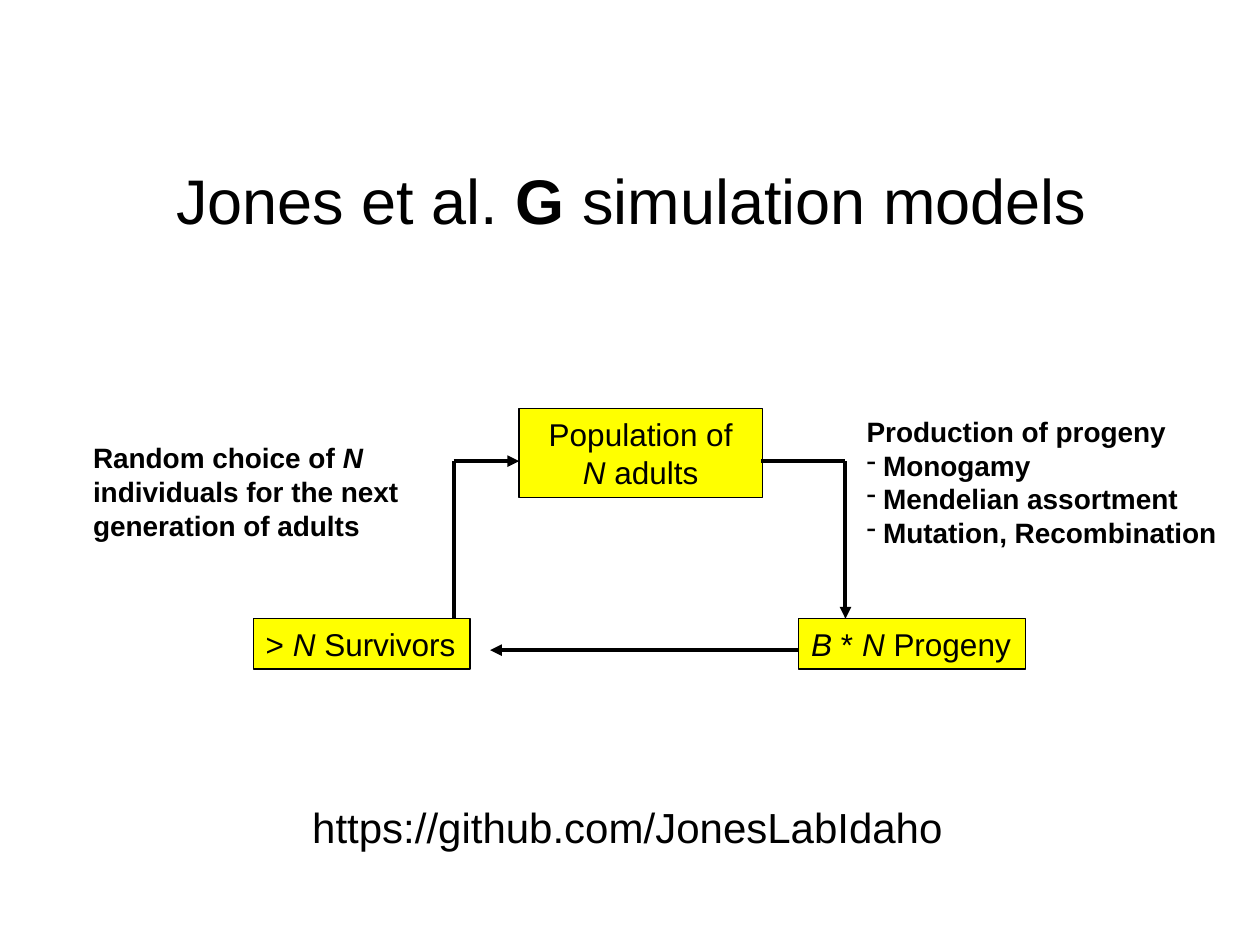
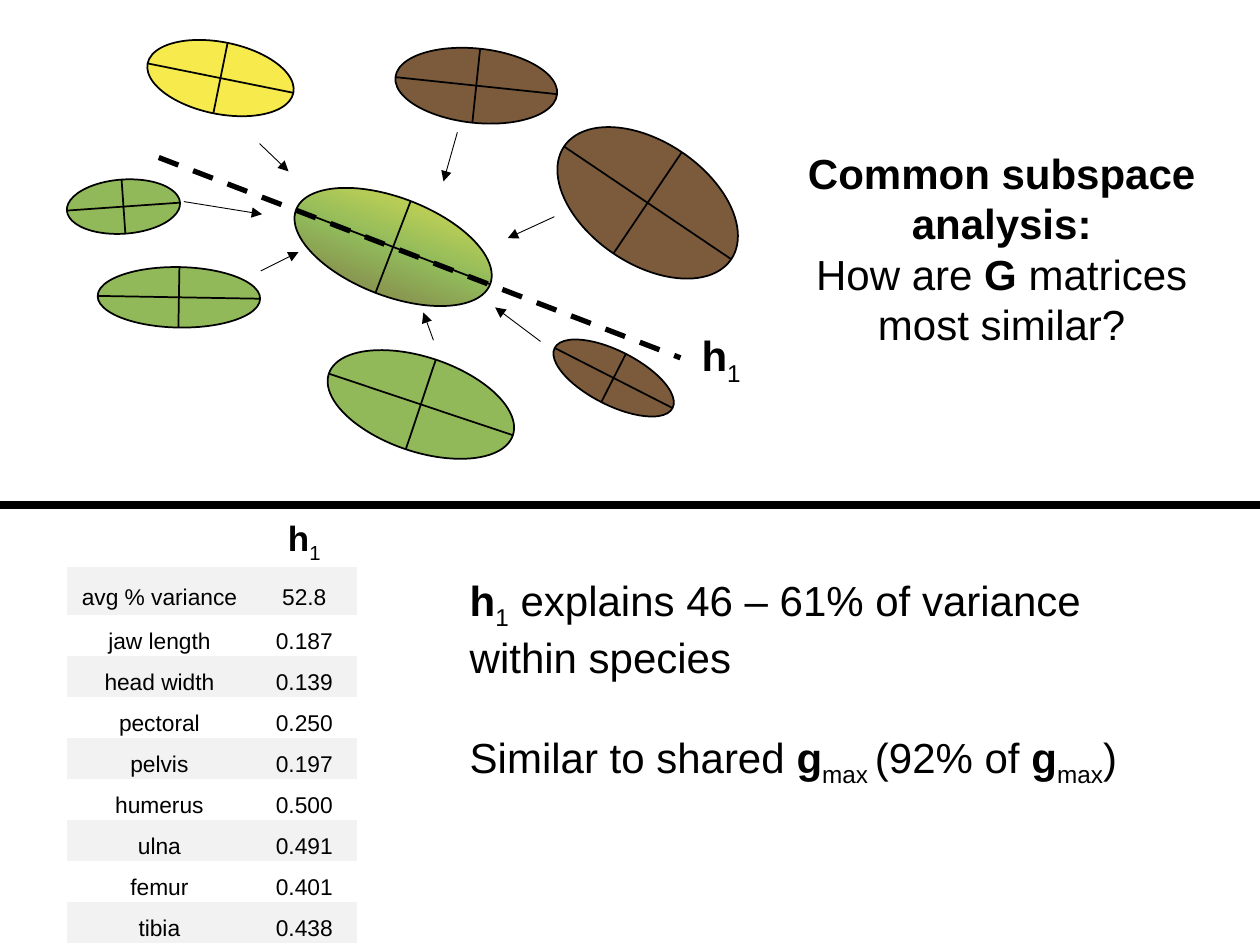
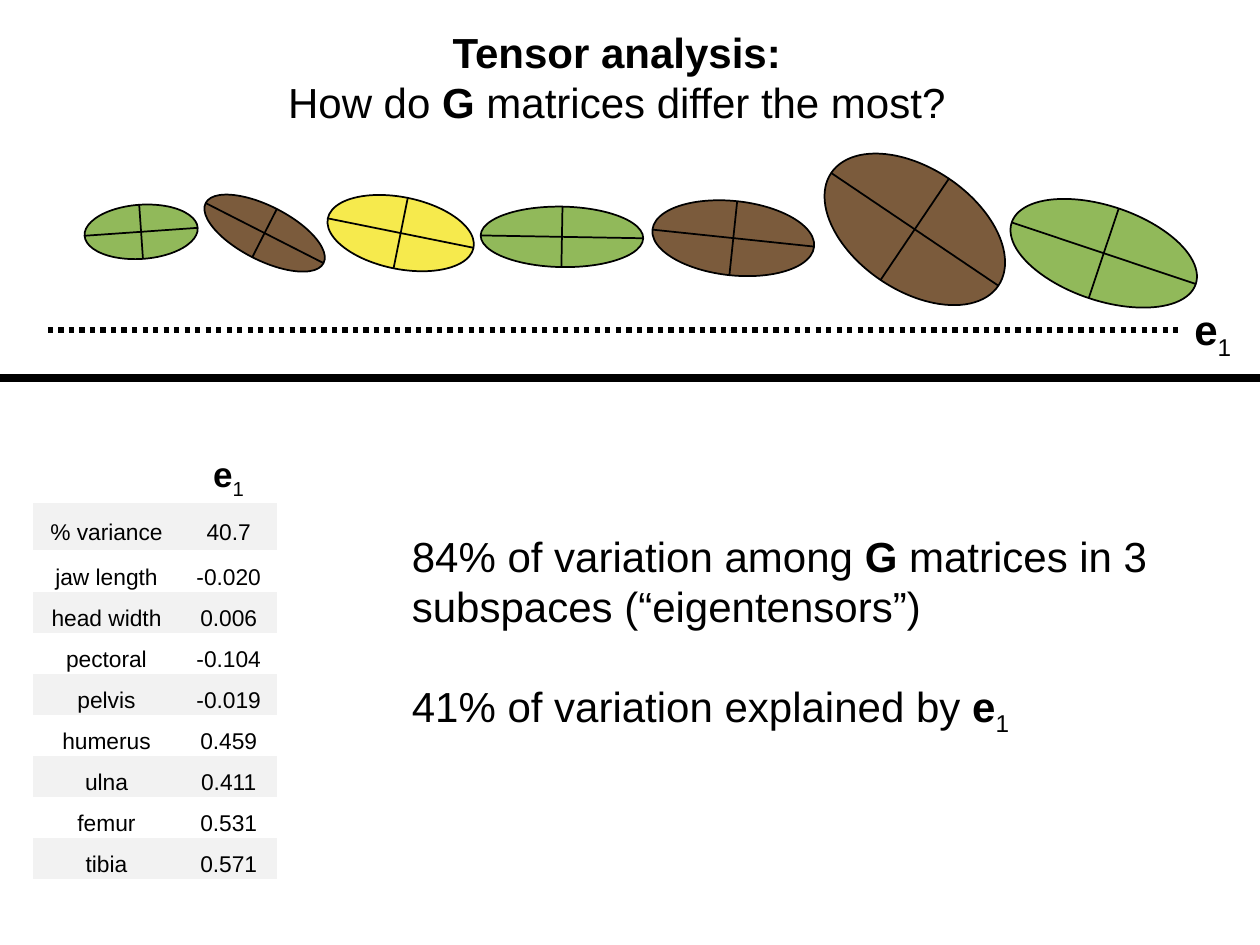
import math
from dataclasses import dataclass
from typing import Any, NamedTuple, Optional

import lxml.etree
import pptx
import pptx.dml.color
import pptx.enum.dml
import pptx.enum.shapes
import pptx.enum.text
import pptx.oxml.ns
import pptx.util

Inches = pptx.util.Inches
Pt = pptx.util.Pt
qn = pptx.oxml.ns.qn
ALIGN = pptx.enum.text.PP_ALIGN
DASH = pptx.enum.dml.MSO_LINE
SHAPE = pptx.enum.shapes.MSO_SHAPE

FONT = "Arial"
HEX = {
    "ink": "000000",
    "box": "FFFF00",
    "band": "F2F2F2",
    "green": "88B44D",
    "gold": "F5E627",
    "brown": "704E2C",
}
BLEND = [(0, "F7EB4E"), (51, "91BA5B"), (100, "7B5C3D")]
CLEAR_STYLE = "{2D5ABB26-0587-4C30-8999-92F81FD0307C}"
TRAITS = ["jaw length", "head width", "pectoral", "pelvis",
          "humerus", "ulna", "femur", "tibia"]


class Run(NamedTuple):
    text: str
    bold: bool = False
    slant: bool = False
    sub: bool = False


class Box(NamedTuple):
    left: float
    top: float
    width: float
    height: float

    def lengths(self) -> list[int]:
        return [Inches(side) for side in self]


class Line(NamedTuple):
    start: tuple[float, float]
    end: tuple[float, float]
    width: float = 1
    arrow: bool = False
    dash: Any = None


@dataclass
class Egg:
    width: float
    length: float
    turn: float
    fill: Optional[str] = None
    alpha: int = 92


EGGS = {
    "small green": Egg(0.43, 0.9, 86, "green"),
    "small brown": Egg(0.43, 1.05, 117, "brown"),
    "gold": Egg(0.57, 1.18, 101.4, "gold", 82),
    "flat green": Egg(0.48, 1.29, 91, "green"),
    "flat brown": Egg(0.59, 1.29, 96, "brown"),
    "large brown": Egg(0.97, 1.6, 124, "brown"),
    "large green": Egg(0.75, 1.54, 108.5, "green"),
    "shared": Egg(0.78, 1.65, 111),
}


def bold(text: str) -> Run:
    return Run(text, bold=True)


def slant(text: str) -> Run:
    return Run(text, slant=True)


def sub(text: str) -> Run:
    return Run(text, sub=True)


def tint(name: str) -> pptx.dml.color.RGBColor:
    return pptx.dml.color.RGBColor.from_string(HEX[name])


def write(frame: Any, paras: list, *, size: float = 24, heavy: bool = False,
          align: Any = ALIGN.LEFT, gap: float = 0, pitch: Optional[float] = None,
          dashed: bool = False) -> None:
    for row, parts in enumerate(paras):
        para = frame.add_paragraph() if row else frame.paragraphs[0]
        para.alignment = align
        if pitch:
            para.line_spacing = pitch
        if row and gap:
            para.space_before = Pt(gap)
        if row and dashed:
            props = para._p.get_or_add_pPr()
            props.set("marL", str(Inches(0.13)))
            props.set("indent", str(-Inches(0.13)))
            lxml.etree.SubElement(props, qn("a:buChar"), char="-")
        for part in parts:
            piece = Run(part) if isinstance(part, str) else part
            run = para.add_run()
            run.text = piece.text
            run.font.name = FONT
            run.font.size = Pt(size)
            run.font.bold = heavy or piece.bold
            run.font.italic = piece.slant
            run.font.color.rgb = tint("ink")
            if piece.sub:
                run._r.get_or_add_rPr().set("baseline", "-25000")


def fit(frame: Any, wrap: bool) -> None:
    frame.word_wrap = wrap
    frame.auto_size = pptx.enum.text.MSO_AUTO_SIZE.SHAPE_TO_FIT_TEXT


def label(slide: Any, box: Box, paras: list, wrap: bool = True, **style: Any) -> None:
    frame = slide.shapes.add_textbox(*box.lengths()).text_frame
    fit(frame, wrap)
    write(frame, paras, **style)


def stage(slide: Any, box: Box, paras: list, wrap: bool = False, **style: Any) -> None:
    shape = slide.shapes.add_shape(SHAPE.RECTANGLE, *box.lengths())
    shape.shadow.inherit = False
    shape.fill.solid()
    shape.fill.fore_color.rgb = tint("box")
    shape.line.color.rgb = tint("ink")
    shape.line.width = Pt(0.75)
    fit(shape.text_frame, wrap)
    write(shape.text_frame, paras, size=18, **style)


def draw(shapes: Any, line: Line) -> None:
    ends = [Inches(value) for value in (*line.start, *line.end)]
    link = shapes.add_connector(pptx.enum.shapes.MSO_CONNECTOR.STRAIGHT, *ends)
    link.line.color.rgb = tint("ink")
    link.line.width = Pt(line.width)
    if line.dash:
        link.line.dash_style = line.dash
    if line.arrow:
        lxml.etree.SubElement(link.line._get_or_add_ln(), qn("a:tailEnd"), type="triangle")
    lxml.etree.SubElement(link._element.spPr, qn("a:effectLst"))


def blend(shape: Any) -> None:
    shape.fill.gradient()
    shape.fill.gradient_angle = 0
    grad = shape._element.spPr.find(qn("a:gradFill"))
    stops = grad.find(qn("a:gsLst"))
    for stop in list(stops):
        stops.remove(stop)
    for place, color in BLEND:
        stop = lxml.etree.SubElement(stops, qn("a:gs"), pos=str(place * 1000))
        lxml.etree.SubElement(stop, qn("a:srgbClr"), val=color)


def lay(slide: Any, name: str, x: float, y: float) -> None:
    egg = EGGS[name]
    shapes = slide.shapes.add_group_shape().shapes
    box = Box(x - egg.width / 2, y - egg.length / 2, egg.width, egg.length)
    shape = shapes.add_shape(SHAPE.OVAL, *box.lengths())
    shape.rotation = egg.turn
    shape.shadow.inherit = False
    shape.line.color.rgb = tint("ink")
    shape.line.width = Pt(1)
    if egg.fill:
        shape.fill.solid()
        shape.fill.fore_color.rgb = tint(egg.fill)
        color = shape._element.spPr.find(qn("a:solidFill"))[0]
        lxml.etree.SubElement(color, qn("a:alpha"), val=str(egg.alpha * 1000))
    else:
        blend(shape)
    turn = math.radians(egg.turn)
    for span, angle in ((egg.length, turn - math.pi / 2), (egg.width, turn)):
        dx, dy = span / 2 * math.cos(angle), span / 2 * math.sin(angle)
        draw(shapes, Line((x + dx, y + dy), (x - dx, y - dy)))


def chart(slide: Any, left: float, top: float, widths: list[float], head: str,
          share: tuple[str, str], loads: list[str]) -> None:
    rows = [("", [bold(head), sub("1")]), share, *zip(TRAITS, loads)]
    heights = [0.56, 0.38] + [0.29] * len(TRAITS)
    box = Box(left, top, sum(widths), sum(heights))
    table = slide.shapes.add_table(len(rows), 2, *box.lengths()).table
    table.first_row = table.horz_banding = False
    table._tbl.tblPr.find(qn("a:tableStyleId")).text = CLEAR_STYLE
    for col, width in enumerate(widths):
        table.columns[col].width = Inches(width)
    for row, pair in enumerate(rows):
        table.rows[row].height = Inches(heights[row])
        for col, text in enumerate(pair):
            cell = table.cell(row, col)
            cell.margin_left = cell.margin_right = Inches(0.07)
            cell.margin_top = cell.margin_bottom = 0
            cell.vertical_anchor = pptx.enum.text.MSO_ANCHOR.MIDDLE
            if row % 2:
                cell.fill.solid()
                cell.fill.fore_color.rgb = tint("band")
            else:
                cell.fill.background()
            if text:
                parts = [text] if isinstance(text, str) else text
                write(cell.text_frame, [parts], size=13 if row else 20,
                      align=ALIGN.CENTER, pitch=1.5)


def split(slide: Any, y: float) -> None:
    draw(slide.shapes, Line((0, y), (10, y), 4.5))


def cycle(slide: Any) -> None:
    stage(slide, Box(4.12, 3.24, 1.93, 0.71),
          [["Population of"], [slant("N"), " adults"]], wrap=True, align=ALIGN.CENTER)
    stage(slide, Box(6.34, 4.91, 1.8, 0.4), [[slant("B"), " * ", slant("N"), " Progeny"]])
    stage(slide, Box(2.01, 4.91, 1.72, 0.4), [["> ", slant("N"), " Survivors"]])
    for start, end, arrow in [
        ((6.04, 3.66), (6.71, 3.66), False),
        ((6.71, 3.66), (6.71, 4.91), True),
        ((6.34, 5.16), (3.89, 5.16), True),
        ((3.6, 4.91), (3.6, 3.66), False),
        ((3.6, 3.66), (4.12, 3.66), True),
    ]:
        draw(slide.shapes, Line(start, end, 2.25, arrow))
    label(slide, Box(6.78, 3.24, 3.02, 1.18),
          [["Production of progeny"], ["Monogamy"], ["Mendelian assortment"],
           ["Mutation, Recombination"]], wrap=False, size=16, heavy=True, dashed=True)
    label(slide, Box(0.64, 3.45, 2.66, 0.91),
          [["Random choice of ", slant("N")], ["individuals for the next"],
           ["generation of adults"]], wrap=False, size=16, heavy=True)
    label(slide, Box(1.3, 1.23, 7.56, 0.71),
          [["Jones et al. ", bold("G"), " simulation models"]], size=36)
    label(slide, Box(2.38, 6.31, 6.67, 0.5), [["https://github.com/JonesLabIdaho"]])


def common(slide: Any) -> None:
    label(slide, Box(5.47, 2.57, 0.53, 0.5), [[bold("h"), sub("1")]], wrap=False)
    for name, x, y in [
        ("shared", 3.12, 1.96),
        ("small green", 0.98, 1.64),
        ("gold", 1.75, 0.62),
        ("flat brown", 3.78, 0.68),
        ("small brown", 4.87, 3),
        ("large brown", 5.14, 1.61),
        ("flat green", 1.42, 2.36),
        ("large green", 3.34, 3.21),
    ]:
        lay(slide, name, x, y)
    for start, end in [
        ((3.63, 1.05), (3.52, 1.44)),
        ((4.4, 1.72), (4.03, 1.89)),
        ((4.29, 2.71), (3.93, 2.44)),
        ((3.44, 2.7), (3.36, 2.48)),
        ((2.07, 2.15), (2.37, 2)),
        ((1.46, 1.6), (2.08, 1.7)),
        ((2.06, 1.14), (2.29, 1.36)),
    ]:
        draw(slide.shapes, Line(start, end, 0.5, True))
    draw(slide.shapes, Line((1.26, 1.25), (5.4, 2.84), 3, dash=DASH.DASH))
    label(slide, Box(6.21, 1.12, 3.48, 1.72),
          [[bold("Common subspace analysis:")],
           ["How are ", bold("G"), " matrices most similar?"]], align=ALIGN.CENTER)
    split(slide, 4.01)
    chart(slide, 0.53, 3.93, [1.47, 0.83], "h", ("avg % variance", "52.8"),
          ["0.187", "0.139", "0.250", "0.197", "0.500", "0.491", "0.401", "0.438"])
    label(slide, Box(3.63, 4.51, 5.6, 1.72),
          [[bold("h"), sub("1"), " explains 46 – 61% of variance within species"],
           ["Similar to shared ", bold("g"), sub("max "), "(92% of ", bold("g"),
            sub("max"), ")"]], gap=28)


def tensor(slide: Any) -> None:
    for name, x, y in [
        ("small green", 1.12, 1.84),
        ("gold", 3.18, 1.85),
        ("flat brown", 5.82, 1.89),
        ("small brown", 2.1, 1.85),
        ("large brown", 7.26, 1.82),
        ("flat green", 4.46, 1.88),
        ("large green", 8.76, 2.01),
    ]:
        lay(slide, name, x, y)
    draw(slide.shapes, Line((0.38, 2.62), (9.38, 2.62), 3, dash=DASH.ROUND_DOT))
    label(slide, Box(9.38, 2.36, 0.51, 0.5), [[bold("e"), sub("1")]], wrap=False)
    label(slide, Box(0.72, 0.16, 8.35, 0.91),
          [[bold("Tensor analysis:")],
           ["How do ", bold("G"), " matrices differ the most?"]], align=ALIGN.CENTER)
    split(slide, 3)
    chart(slide, 0.26, 3.42, [1.17, 0.77], "e", ("% variance", "40.7"),
          ["-0.020", "0.006", "-0.104", "-0.019", "0.459", "0.411", "0.531", "0.571"])
    label(slide, Box(3.17, 4.16, 6.09, 2.12),
          [["84% of variation among ", bold("G"),
            " matrices in 3 subspaces (“eigentensors”)"],
           ["41% of variation explained by ", bold("e"), sub("1")]], gap=28)


def main() -> None:
    deck = pptx.Presentation()
    deck.slide_width, deck.slide_height = Inches(10), Inches(7.5)
    for build in (cycle, common, tensor):
        build(deck.slides.add_slide(deck.slide_layouts[6]))
    deck.save("out.pptx")


if __name__ == "__main__":
    main()
